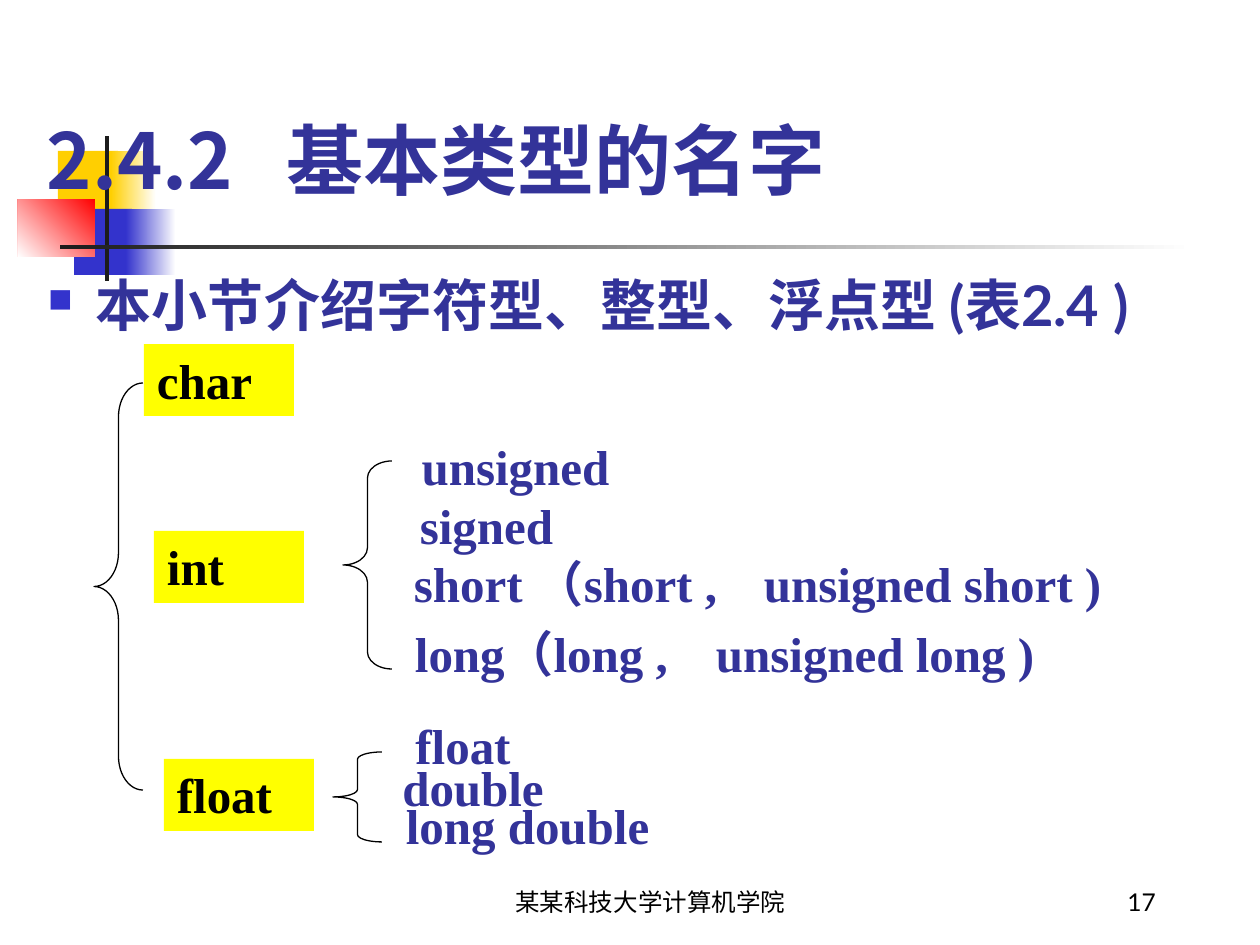
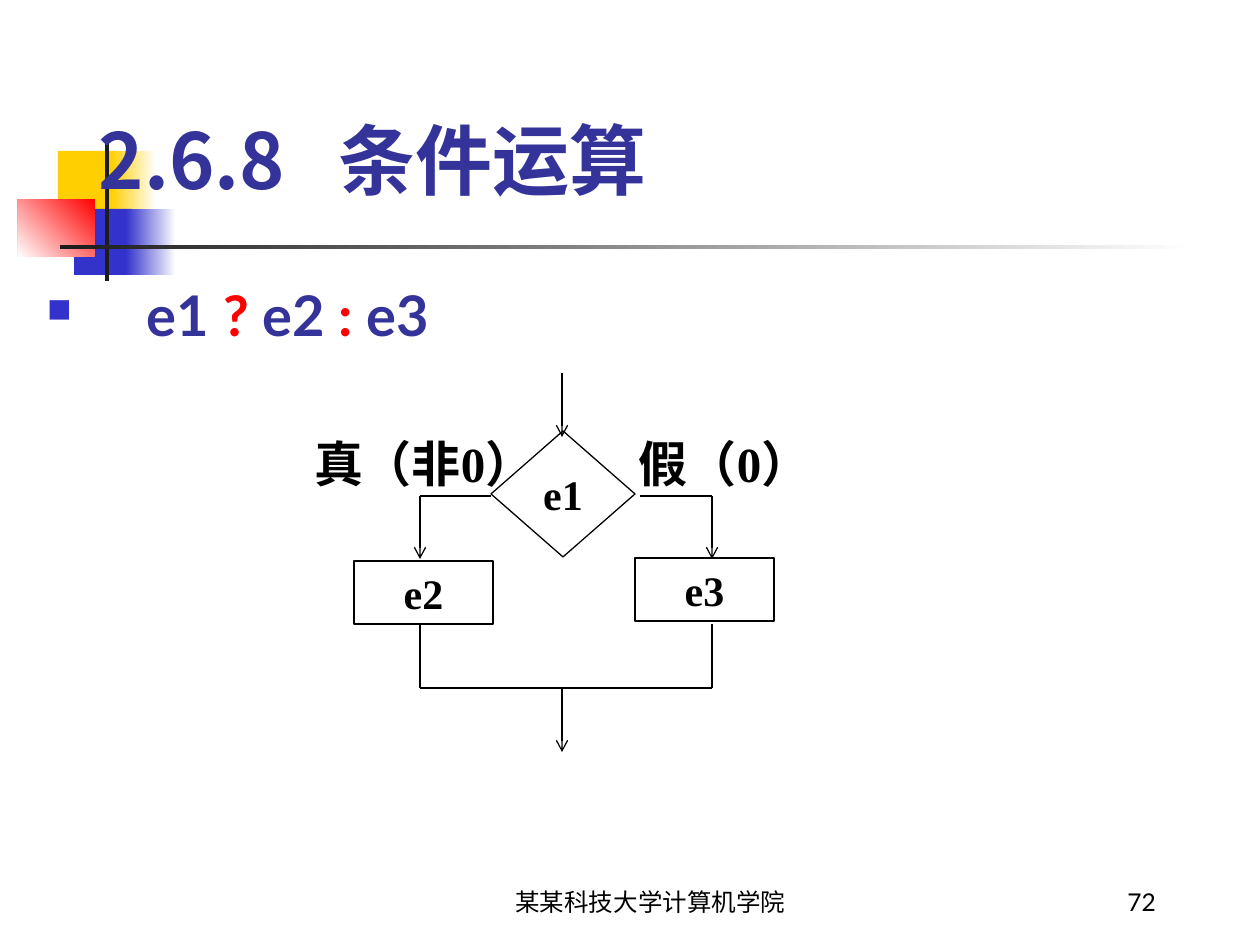
"""Build two lecture slides on basic type names and the conditional operator."""
from lxml.etree import SubElement
from pptx import Presentation
from pptx.dml.color import RGBColor
from pptx.enum.shapes import MSO_CONNECTOR, MSO_SHAPE
from pptx.enum.text import MSO_ANCHOR, MSO_AUTO_SIZE, PP_ALIGN
from pptx.oxml.ns import qn
from pptx.util import Pt

SCALE = 914400 / 126
COLOURS = {
    "white": "FFFFFF", "black": "000000", "text": "333399", "bullet": "3333CC",
    "gold": "FFCF01", "blue": "3333CC", "red": "FF0000", "ink": "1C1C1C",
    "label": "FFFF00",
}
RGB = {name: RGBColor.from_string(value) for name, value in COLOURS.items()}
CJK, SANS, SERIF = "Noto Sans CJK SC", "Lato", "Times New Roman"
FOOTER = "某某科技大学计算机学院"
INSET = 13


def emu(*lengths):
    return [round(length * SCALE) for length in lengths]


def format_text(shape, size, font, colour, bold=True, align=PP_ALIGN.LEFT,
                anchor=MSO_ANCHOR.TOP, shift=0, tab=0):
    frame = shape.text_frame
    frame.word_wrap = True
    frame.auto_size = MSO_AUTO_SIZE.NONE
    frame.vertical_anchor = anchor
    frame.margin_left, frame.margin_right = emu(INSET + shift, INSET)
    frame.margin_top, frame.margin_bottom = emu(6, 6)
    paragraph = frame.paragraphs[0]
    paragraph.alignment = align
    for run in paragraph.runs:
        run.font.size = Pt(size)
        run.font.name = font
        run.font.bold = bold
        run.font.color.rgb = RGB[colour]
    for properties in shape.element.iter(qn("a:rPr")):
        SubElement(properties, qn("a:ea"), typeface=CJK)
    if tab:
        properties = next(shape.element.iter(qn("a:pPr")))
        stops = SubElement(properties, qn("a:tabLst"))
        SubElement(stops, qn("a:tab"), pos=str(emu(tab)[0]), algn="l")


presentation = Presentation()
presentation.slide_width, presentation.slide_height = emu(1260, 945)
layout = presentation.slide_layouts[5]

slides = []
for title_text, title_shift, body_parts, body_place, hanging, number in [
    ("2.4.2\t基本类型的名字", 0, ["本小节介绍字符型、整型、浮点型 (表2.4 )"],
     (35, 265, 1200, 567), 48, "17"),
    ("2.6.8\t条件运算", 52, ["e1 ", "? ", "e2", " : ", "e3"],
     (34, 275, 1200, 567), 100, "72"),
]:
    slide = presentation.slides.add_slide(layout)
    slides.append(slide)
    title = slide.shapes.title
    title.left, title.top, title.width, title.height = emu(34, 76, 1198, 135)
    title.text_frame.text = title_text
    format_text(title, 44, CJK, "text", anchor=MSO_ANCHOR.BOTTOM,
                shift=title_shift, tab=240)

    body = slide.shapes.add_textbox(*emu(*body_place))
    paragraph = body.text_frame.paragraphs[0]
    for part in body_parts:
        paragraph.add_run().text = part
    format_text(body, 32, SANS, "text")
    for run in paragraph.runs[1::2]:
        run.font.color.rgb = RGB["red"]
    properties = next(body.element.iter(qn("a:pPr")))
    indent = emu(hanging)[0]
    properties.set("marL", str(indent))
    properties.set("indent", str(-indent))
    bullet_colour = SubElement(properties, qn("a:buClr"))
    SubElement(bullet_colour, qn("a:srgbClr"), val=COLOURS["bullet"])
    SubElement(properties, qn("a:buSzPct"), val="60000")
    SubElement(properties, qn("a:buChar"), char="■")

    for text, place, align in [
        (FOOTER, (451, 859, 399, 63), PP_ALIGN.CENTER),
        (number, (907, 859, 262, 63), PP_ALIGN.RIGHT),
    ]:
        footer = slide.shapes.add_textbox(*emu(*place))
        footer.text_frame.text = text
        format_text(footer, 14, SANS, "black", bold=False, align=align,
                    anchor=MSO_ANCHOR.BOTTOM)

types_slide, condition_slide = slides

for place, start, end, angle in [
    ((58, 151, 60, 66), "gold", None, 0),
    ((111, 151, 45, 66), "gold", "white", 0),
    ((74, 209, 58, 66), "blue", None, 0),
    ((126, 209, 50, 66), "blue", "white", 0),
    ((18, 199, 77, 58), "red", "white", 225),
    ((105, 136, 4, 145), "ink", None, 0),
    ((60, 245, 1134, 4), "ink", "white", 0),
]:
    block = types_slide.shapes.add_shape(MSO_SHAPE.RECTANGLE, *emu(*place))
    block.shadow.inherit = False
    block.line.fill.background()
    if end:
        block.fill.gradient()
        block.fill.gradient_angle = angle
        for stop, colour in zip(block.fill.gradient_stops, (start, end)):
            stop.color.rgb = RGB[colour]
    else:
        block.fill.solid()
        block.fill.fore_color.rgb = RGB[start]
    layout.shapes.element.append(block.element)

for text, left, top in [("char", 144, 344), ("int", 154, 531), ("float", 164, 759)]:
    label = types_slide.shapes.add_shape(MSO_SHAPE.RECTANGLE, *emu(left, top, 150, 72))
    label.shadow.inherit = False
    label.fill.solid()
    label.fill.fore_color.rgb = RGB["label"]
    label.line.fill.background()
    label.text_frame.text = text
    format_text(label, 28, SERIF, "black")

for text, left, top, width in [
    ("unsigned", 402, 431, 227), ("signed", 373, 489, 227),
    ("float", 322, 709, 282), ("double", 332, 751, 282),
    ("long double", 385, 790, 285),
]:
    member = types_slide.shapes.add_textbox(*emu(left, top, width, 72))
    member.text_frame.text = text
    format_text(member, 28, SERIF, "text", align=PP_ALIGN.CENTER)

for text, place, tab, spacing in [
    ("short （short ,\tunsigned short )", (364, 554, 822, 66), 350, 0.9),
    ("long（long ,\tunsigned long )", (365, 617, 830, 72), 301, 1.0),
]:
    variants = types_slide.shapes.add_textbox(*emu(*place))
    variants.text_frame.text = text
    variants.text_frame.paragraphs[0].line_spacing = spacing
    format_text(variants, 28, SERIF, "text", shift=37, tab=tab)

for left, top, height in [(343, 461, 208), (333, 752, 90), (94, 383, 407)]:
    width = 49
    brace = types_slide.shapes.add_shape(
        MSO_SHAPE.LEFT_BRACE, *emu(left, top, width, height))
    brace.adjustments[0] = round(height / 12 / width, 2)
    brace.shadow.inherit = False
    brace.fill.background()
    brace.line.color.rgb = RGB["black"]
    brace.line.width = Pt(0.75)

for text, kind, place in [
    ("e1", MSO_SHAPE.FLOWCHART_DECISION, (491, 431, 144, 126)),
    ("e2", MSO_SHAPE.FLOWCHART_PROCESS, (354, 561, 139, 63)),
    ("e3", MSO_SHAPE.FLOWCHART_PROCESS, (635, 558, 139, 63)),
]:
    node = condition_slide.shapes.add_shape(kind, *emu(*place))
    node.shadow.inherit = False
    node.fill.background()
    node.line.color.rgb = RGB["black"]
    node.line.width = Pt(0.75)
    node.text_frame.text = text
    format_text(node, 24, SERIF, "black", align=PP_ALIGN.CENTER,
                anchor=MSO_ANCHOR.MIDDLE)

true_x, middle_x, false_x = 420, 562, 712
branch_y, join_y = 496, 688
for ends, arrow in [
    ((true_x, branch_y, 491, branch_y), False),
    ((640, branch_y, false_x, branch_y), False),
    ((true_x, branch_y, true_x, 559), True),
    ((false_x, branch_y, false_x, 559), True),
    ((true_x, 624, true_x, join_y), False),
    ((false_x, 624, false_x, join_y), False),
    ((true_x, join_y, false_x, join_y), False),
    ((middle_x, 373, middle_x, 437), True),
    ((middle_x, join_y, middle_x, 752), True),
]:
    connector = condition_slide.shapes.add_connector(MSO_CONNECTOR.STRAIGHT, *emu(*ends))
    connector.line.color.rgb = RGB["black"]
    connector.line.width = Pt(0.75)
    properties = connector.element.spPr
    if arrow:
        SubElement(properties.find(qn("a:ln")), qn("a:tailEnd"), type="arrow")
    SubElement(properties, qn("a:effectLst"))

for text, place in [("真（非0）", (301, 427, 260, 131)), ("假（0）", (626, 427, 267, 72))]:
    outcome = condition_slide.shapes.add_textbox(*emu(*place))
    outcome.text_frame.text = text
    format_text(outcome, 28, SERIF, "black")

presentation.save("out.pptx")
